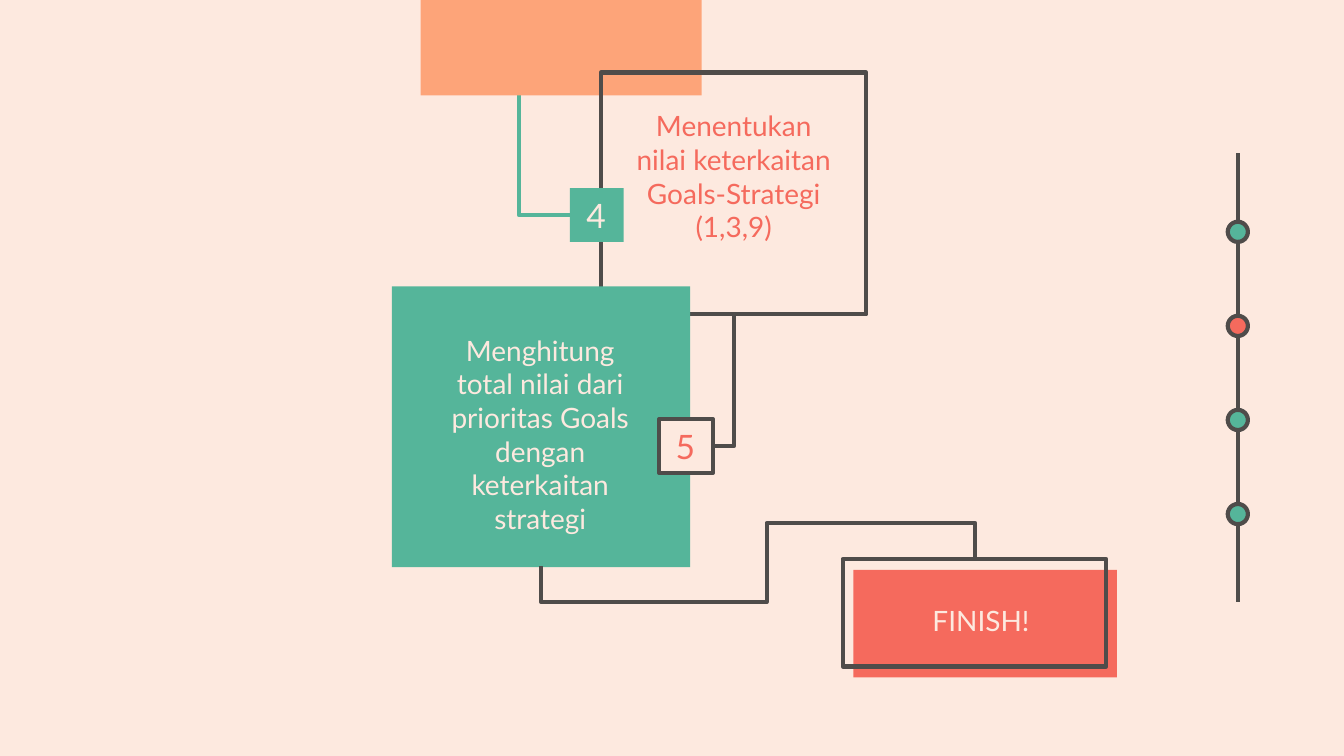
from dataclasses import dataclass
from typing import Optional

from lxml import etree
from pptx import Presentation
from pptx import util as u
from pptx.dml.color import RGBColor
from pptx.enum import shapes, text
from pptx.oxml.ns import qn

# The slide is a grid of 100 columns by 56.25 rows; all lengths are in cells.
COLS, ROWS = 100, 56.25
CELL = u.Inches(0.1)

CREAM = RGBColor(0xFD, 0xE9, 0xDF)
ORANGE = RGBColor(0xFD, 0xA4, 0x79)
CORAL = RGBColor(0xF5, 0x6A, 0x5D)
GREEN = RGBColor(0x55, 0xB5, 0x9A)
DARK = RGBColor(0x4F, 0x4C, 0x4A)
FONT = "Lato"
STROKE = u.Pt(2.25)

RECT = shapes.MSO_SHAPE.RECTANGLE
OVAL = shapes.MSO_SHAPE.OVAL
LEFT, MID = text.PP_ALIGN.LEFT, text.PP_ALIGN.CENTER
TOP, CENTER = text.MSO_ANCHOR.TOP, text.MSO_ANCHOR.MIDDLE


@dataclass
class Box:
    col: float
    row: float
    wide: float
    high: float
    fill: Optional[RGBColor] = None
    line: Optional[RGBColor] = None
    turn: float = 0
    kind: shapes.MSO_SHAPE = RECT


@dataclass
class Label:
    col: float
    row: float
    wide: float
    high: float
    lines: tuple[str, ...]
    color: RGBColor
    size: float = 15
    align: text.PP_ALIGN = MID
    anchor: text.MSO_ANCHOR = TOP
    after: float = 0


@dataclass
class Bend:
    """An elbow link: its box before turning, its preset and its bends."""
    col: float
    row: float
    wide: float
    high: float
    preset: str
    turn: int
    color: RGBColor = DARK
    flip: bool = False
    bends: tuple[float, ...] = ()


def cells(*vals: float) -> list[int]:
    return [round(val * CELL) for val in vals]


def draw_box(slide, box: Box) -> None:
    shape = slide.shapes.add_shape(
        box.kind, *cells(box.col, box.row, box.wide, box.high))
    shape.shadow.inherit = False
    shape.rotation = box.turn
    if box.fill is None:
        shape.fill.background()
    else:
        shape.fill.solid()
        shape.fill.fore_color.rgb = box.fill
    if box.line is None:
        shape.line.fill.background()
    else:
        shape.line.color.rgb = box.line
        shape.line.width = STROKE


def draw_label(slide, label: Label) -> None:
    frame = slide.shapes.add_textbox(
        *cells(label.col, label.row, label.wide, label.high)).text_frame
    frame.word_wrap = True
    frame.vertical_anchor = label.anchor
    frame.margin_left = frame.margin_right = CELL
    frame.margin_top = frame.margin_bottom = CELL
    for i, line in enumerate(label.lines):
        para = frame.add_paragraph() if i else frame.paragraphs[0]
        para.alignment = label.align
        para.space_after = u.Pt(label.after)
        run = para.add_run()
        run.text = line
        run.font.name = FONT
        run.font.size = u.Pt(label.size)
        run.font.color.rgb = label.color


def draw_line(slide, kind, ends: list[int], color: RGBColor):
    link = slide.shapes.add_connector(kind, *ends)
    link.line.color.rgb = color
    link.line.width = STROKE
    etree.SubElement(link._element.spPr, qn("a:effectLst"))
    return link


def draw_bend(slide, bend: Bend) -> None:
    ends = cells(bend.col, bend.row, bend.col + bend.wide, bend.row + bend.high)
    link = draw_line(slide, shapes.MSO_CONNECTOR.ELBOW, ends, bend.color)
    props = link._element.spPr
    frame = props.find(qn("a:xfrm"))
    frame.set("rot", str(bend.turn * 60000))
    if bend.flip:
        frame.set("flipH", "1")
    geom = props.find(qn("a:prstGeom"))
    geom.set("prst", bend.preset)
    guides = geom.find(qn("a:avLst"))
    for i, share in enumerate(bend.bends, 1):
        etree.SubElement(guides, qn("a:gd"), name=f"adj{i}",
                         fmla=f"val {round(share * 100000)}")


def draw_rail(slide) -> None:
    """The upright line at the right with four evenly spaced dots."""
    mid, dot, first, gap = 92.1, 1.5, 16.5, 7
    draw_line(slide, shapes.MSO_CONNECTOR.STRAIGHT,
              cells(mid, 11.4, mid, 44.8), DARK)
    for i, fill in enumerate((GREEN, CORAL, GREEN, GREEN)):
        draw_box(slide, Box(mid - dot / 2, first + i * gap, dot, dot,
                            fill, DARK, kind=OVAL))


def draw_badge(slide, col: float, row: float, num: str, fill: RGBColor,
               color: RGBColor, line: Optional[RGBColor] = None) -> None:
    draw_box(slide, Box(col, row, 4, 4, fill, line))
    draw_label(slide, Label(col + 0.05, row, 3.8, 4, (num,), color,
                            size=18, anchor=CENTER))


BOXES = (
    Box(31.3, -13.8, 20.9, 20.9, ORANGE),
    Box(69.3, 36.6, 8, 19.6, CORAL, turn=90),
    Box(44.7, 5.4, 19.75, 18, line=DARK),
    Box(29.15, 21.3, 22.2, 20.9, GREEN),
    Box(68.5, 35.8, 8, 19.6, line=DARK, turn=90),
)
LABELS = (
    Label(46.3, 7.1, 16.6, 15.2,
          ("Menentukan nilai keterkaitan Goals-Strategi", "(1,3,9)"), CORAL),
    Label(31.9, 23.8, 16.6, 15.9,
          ("Menghitung total nilai dari prioritas Goals dengan "
           "keterkaitan strategi",), CREAM),
    Label(68.4, 43.9, 13, 4.4, ("FINISH!",), CREAM, align=LEFT, after=16),
)
TO_FOUR = Bend(35.6, 9.1, 9.9, 3.9, "bentConnector2", 270, GREEN, flip=True)
TO_FIVE = Bend(48.9, 27.5, 9.8, 1.6, "bentConnector2", 90)
TO_END = Bend(56.1, 25.7, 0.6, 32.3, "bentConnector5", 270,
              bends=(-4.41, 0.52, 5.41))


def main() -> None:
    deck = Presentation()
    deck.slide_width, deck.slide_height = cells(COLS, ROWS)
    slide = deck.slides.add_slide(deck.slide_layouts[6])
    slide.background.fill.solid()
    slide.background.fill.fore_color.rgb = CREAM

    draw_bend(slide, TO_FOUR)
    for box in BOXES:
        draw_box(slide, box)
    draw_bend(slide, TO_END)
    for label in LABELS:
        draw_label(slide, label)
    draw_badge(slide, 42.4, 14, "4", GREEN, CREAM)
    draw_badge(slide, 49.05, 31.2, "5", CREAM, CORAL, DARK)
    draw_bend(slide, TO_FIVE)
    draw_rail(slide)
    deck.save("out.pptx")


if __name__ == "__main__":
    main()
